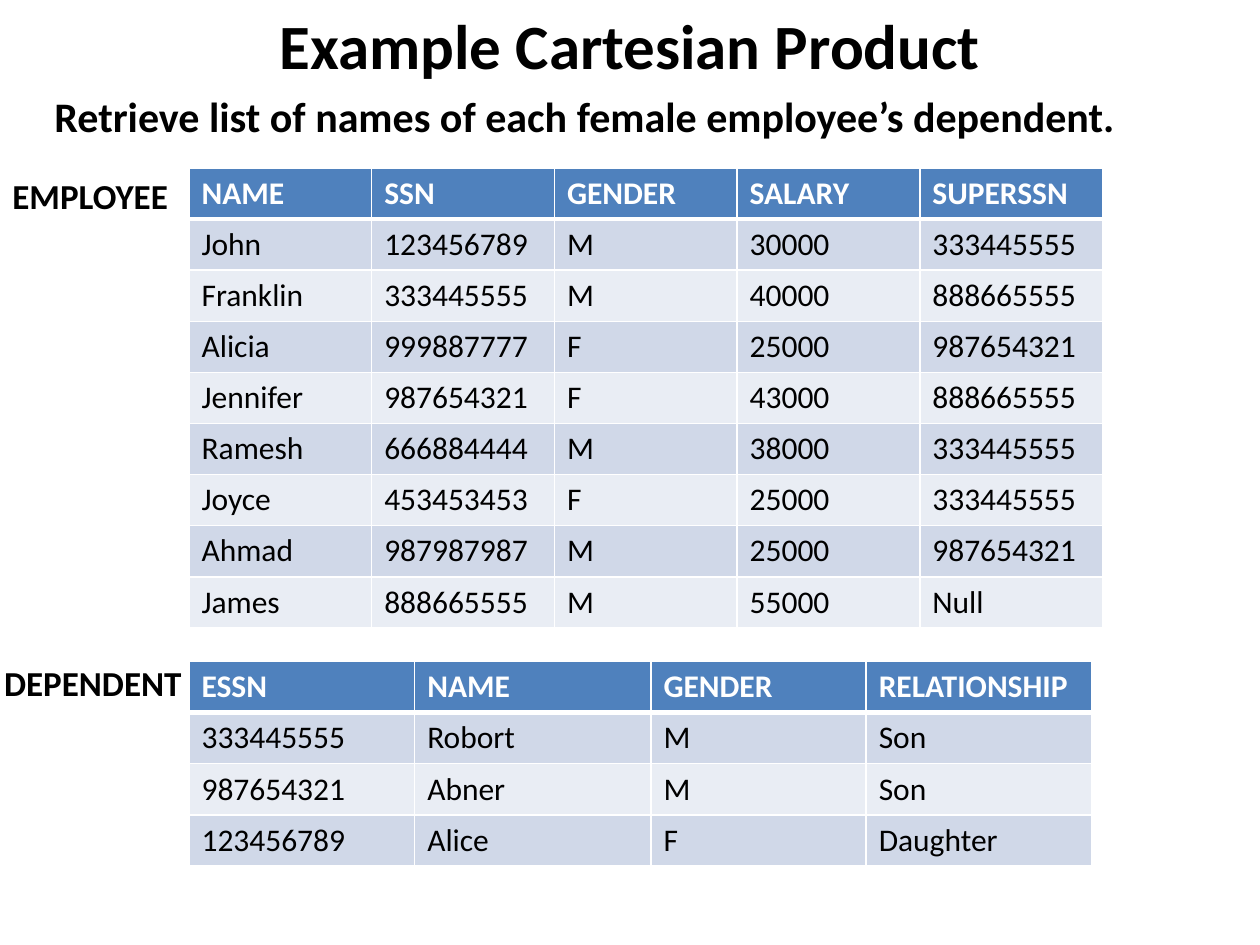
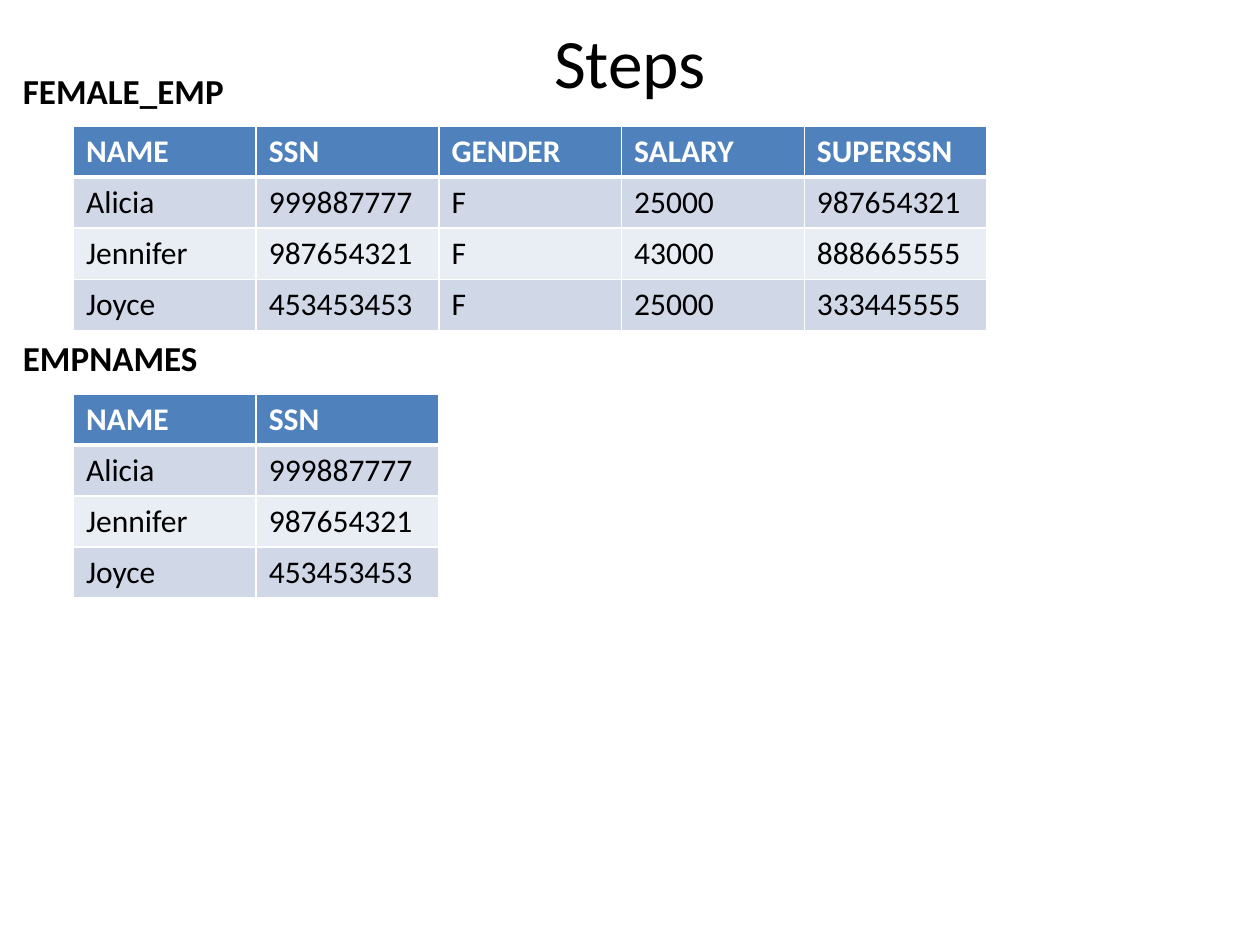
from lxml import etree
from pptx import Presentation
from pptx import util as u
from pptx.dml.color import RGBColor
from pptx.enum import text
from pptx.oxml.ns import qn

COLOURS = {
    "ink": "000000",
    "header": "4F81BD",
    "header_text": "FFFFFF",
    "odd_row": "D0D8E8",
    "even_row": "E9EDF4",
    "rule": "FFFFFF",
}
FONT = "Calibri"

# Layout grid: 120 columns by 90 rows on a 10 x 7.5 inch slide
SLIDE_W, SLIDE_H = u.Inches(10), u.Inches(7.5)
COLUMN, ROW = SLIDE_W / 120, SLIDE_H / 90
FIELD_W = 17.4
TUPLE_H = 4.87
LABEL_H = 5.25
LABEL_ABOVE = (-6, -6, 34)

EMPLOYEE_FIELDS = ["NAME", "SSN", "GENDER", "SALARY", "SUPERSSN"]
EMPLOYEES = [
    ["John", "123456789", "M", "30000", "333445555"],
    ["Franklin", "333445555", "M", "40000", "888665555"],
    ["Alicia", "999887777", "F", "25000", "987654321"],
    ["Jennifer", "987654321", "F", "43000", "888665555"],
    ["Ramesh", "666884444", "M", "38000", "333445555"],
    ["Joyce", "453453453", "F", "25000", "333445555"],
    ["Ahmad", "987987987", "M", "25000", "987654321"],
    ["James", "888665555", "M", "55000", "Null"],
]
DEPENDENT_FIELDS = ["ESSN", "NAME", "GENDER", "RELATIONSHIP"]
DEPENDENTS = [
    ["333445555", "Robort", "M", "Son"],
    ["987654321", "Abner", "M", "Son"],
    ["123456789", "Alice", "F", "Daughter"],
]


def place(left, top, width, height):
    """Turn grid columns and rows into slide lengths."""
    return (u.Emu(round(left * COLUMN)), u.Emu(round(top * ROW)),
            u.Emu(round(width * COLUMN)), u.Emu(round(height * ROW)))


def write(frame, words, size, colour="ink", bold=False):
    run = frame.paragraphs[0].add_run()
    run.text = words
    run.font.name = FONT
    run.font.size = u.Pt(size)
    run.font.bold = bold
    run.font.color.rgb = RGBColor.from_string(COLOURS[colour])


def titled_slide(deck, heading, box, size, bold=False):
    slide = deck.slides.add_slide(deck.slide_layouts[5])
    title = slide.shapes.title
    title.left, title.top, title.width, title.height = place(*box)
    frame = title.text_frame
    frame.auto_size = text.MSO_AUTO_SIZE.NONE
    frame.vertical_anchor = text.MSO_ANCHOR.MIDDLE
    frame.paragraphs[0].alignment = text.PP_ALIGN.CENTER
    write(frame, heading, size, bold=bold)
    return slide


def caption(slide, words, box, size):
    frame = slide.shapes.add_textbox(*place(*box)).text_frame
    frame.word_wrap = True
    write(frame, words, size, bold=True)


def rule_cell(cell, row):
    """White rules, with a thicker one below the header."""
    weights = {"L": 1, "R": 1, "T": 3 if row == 1 else 1, "B": 3 if row == 0 else 1}
    for side, weight in weights.items():
        line = etree.SubElement(cell._tc.get_or_add_tcPr(), qn(f"a:ln{side}"),
                                w=str(u.Pt(weight)))
        fill = etree.SubElement(line, qn("a:solidFill"))
        etree.SubElement(fill, qn("a:srgbClr"), val=COLOURS["rule"])


def relation(slide, name, corner, label, fields, tuples, widths=None):
    """Draw a named table; label is its offset from the corner and its width."""
    left, top = corner
    widths = widths or [FIELD_W] * len(fields)
    records = [fields] + tuples
    box = place(left, top, sum(widths), TUPLE_H * len(records))
    grid = slide.shapes.add_table(len(records), len(fields), *box).table

    for column, width in zip(grid.columns, widths):
        column.width = u.Emu(round(width * COLUMN))
    for r, record in enumerate(records):
        grid.rows[r].height = u.Emu(round(TUPLE_H * ROW))
        is_header = r == 0
        band = "header" if is_header else "odd_row" if r % 2 else "even_row"
        for c, value in enumerate(record):
            cell = grid.cell(r, c)
            rule_cell(cell, r)
            cell.fill.solid()
            cell.fill.fore_color.rgb = RGBColor.from_string(COLOURS[band])
            write(cell.text_frame, value, 18,
                  "header_text" if is_header else "ink", is_header)

    dx, dy, label_width = label
    caption(slide, name, (left + dx, top + dy, label_width, LABEL_H), 20)


def example_slide(deck):
    slide = titled_slide(deck, "Example Cartesian Product", (6, 1, 108, 6.4), 36, True)
    relation(slide, "EMPLOYEE", (18, 16), (-18, 0, 18), EMPLOYEE_FIELDS, EMPLOYEES)
    relation(slide, "DEPENDENT", (18, 63), (-18.8, -0.6, 20),
             DEPENDENT_FIELDS, DEPENDENTS, [21.5, 22.5, 20.5, 21.5])
    caption(slide, "Retrieve list of names of each female employee’s dependent.",
            (4, 8, 104, 6), 24)


def steps_slide(deck):
    slide = titled_slide(deck, "Steps", (6, 3.6, 108, 4.4), 39.6)
    # Select the female employees, then project their name and SSN
    female = [person for person in EMPLOYEES if person[2] == "F"]
    names = [person[:2] for person in female]
    relation(slide, "FEMALE_EMP", (7, 12), LABEL_ABOVE, EMPLOYEE_FIELDS, female)
    relation(slide, "EMPNAMES", (7, 37.5), LABEL_ABOVE, EMPLOYEE_FIELDS[:2], names)


def main():
    deck = Presentation()
    deck.slide_width, deck.slide_height = SLIDE_W, SLIDE_H
    example_slide(deck)
    steps_slide(deck)
    deck.save("out.pptx")


if __name__ == "__main__":
    main()
